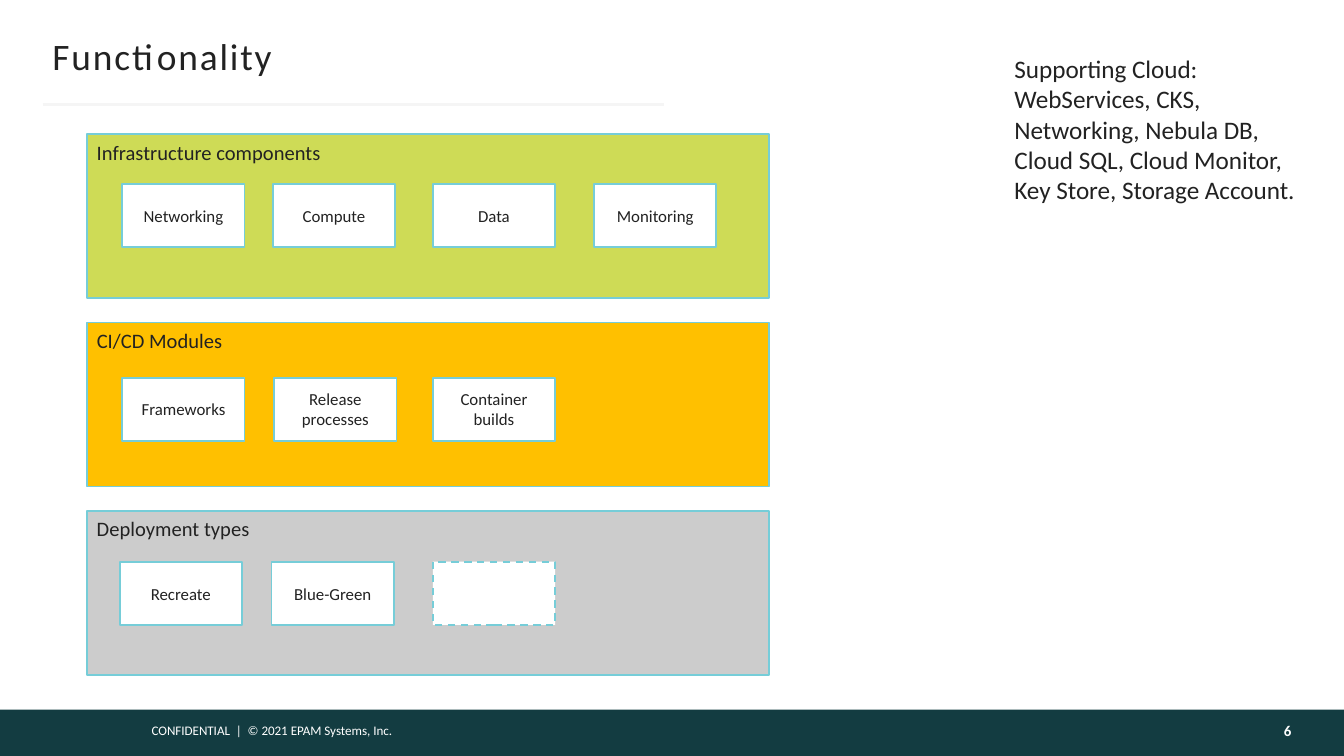
from lxml.etree import SubElement
from pptx import Presentation
from pptx.dml.color import RGBColor
from pptx.enum.dml import MSO_LINE_DASH_STYLE as Dash
from pptx.enum.shapes import MSO_CONNECTOR as Connector, MSO_SHAPE as Shape
from pptx.enum.text import MSO_ANCHOR as Anchor, MSO_AUTO_SIZE as AutoSize, PP_ALIGN as Align
from pptx.oxml.ns import qn
from pptx.util import Inches, Pt

FONT = "Calibri"
INK, WHITE, TEAL, AQUA = "222222", "FFFFFF", "133C41", "76CDD8"
PANEL_LEFT, PANEL_WIDTH, PANEL_HEIGHT = 0.65, 5.07, 1.22
MODULE_WIDTH, MODULE_HEIGHT = 0.91, 0.47

# heading, fill, panel top, module top, modules as (left, label)
PANELS = [
    ("Infrastructure components", "CEDB56", 1.0, 1.37,
     [(0.91, "Networking"), (2.03, "Compute"), (3.22, "Data"), (4.42, "Monitoring")]),
    ("CI/CD Modules", "FFC000", 2.4, 2.81,
     [(0.91, "Frameworks"), (2.04, "Release processes"), (3.22, "Container builds")]),
    ("Deployment types", "CCCCCC", 3.8, 4.18,
     [(0.89, "Recreate"), (2.02, "Blue-Green"), (3.22, "")]),
]


def color(value):
    return RGBColor.from_string(value)


def write(box, text, size=9, ink=INK, bold=False, align=Align.LEFT, anchor=Anchor.TOP,
          insets=(0.1, 0.05, 0.1, 0.05), line_spacing=None, space_after=0, tracking=0):
    """Fill a box with one formatted paragraph."""
    frame = box.text_frame
    frame.word_wrap = True
    frame.auto_size = AutoSize.NONE
    frame.vertical_anchor = anchor
    (frame.margin_left, frame.margin_top,
     frame.margin_right, frame.margin_bottom) = map(Inches, insets)
    para = frame.paragraphs[0]
    para.alignment = align
    para.line_spacing = line_spacing
    para.space_before, para.space_after = Pt(0), Pt(space_after)
    span = para.add_run()
    span.text = text
    span.font.name, span.font.size, span.font.bold = FONT, Pt(size), bold
    span.font.color.rgb = color(ink)
    if tracking:
        span.font._element.set("spc", str(tracking * 100))


def place(box, left, top, width, height):
    box.left, box.top, box.width, box.height = map(Inches, (left, top, width, height))


def paint(box, fill, outline=None):
    box.fill.solid()
    box.fill.fore_color.rgb = color(fill)
    if outline:
        box.line.color.rgb = color(outline)
        box.line.width = Pt(1)
    else:
        box.line.fill.background()


def add_rectangle(page, left, top, width, height, fill, outline=None):
    box = page.shapes.add_shape(Shape.RECTANGLE, *map(Inches, (left, top, width, height)))
    box.shadow.inherit = False
    paint(box, fill, outline)
    return box


def add_text(page, left, top, width, height, text, **text_format):
    box = page.shapes.add_textbox(*map(Inches, (left, top, width, height)))
    write(box, text, **text_format)


def add_rule(page, left, right, top):
    rule = page.shapes.add_connector(
        Connector.STRAIGHT, *map(Inches, (left, top, right, top)))
    rule.line.color.rgb = color("F5F5F5")
    rule.line.width = Pt(1.5)
    SubElement(rule._element.spPr, qn("a:effectLst"))


def remove_bullet(box):
    properties = box.text_frame.paragraphs[0]._p.get_or_add_pPr()
    properties.set("marL", "0")
    properties.set("indent", "0")
    SubElement(properties, qn("a:buNone"))


def add_panel(page, heading, fill, top, body=None):
    area = (PANEL_LEFT, top, PANEL_WIDTH, PANEL_HEIGHT)
    if body is None:
        panel = add_rectangle(page, *area, fill, AQUA)
    else:
        panel = body
        place(panel, *area)
        paint(panel, fill, AQUA)
        remove_bullet(panel)
    write(panel, heading, size=11, insets=(0.07, 0, 0, 0),
          line_spacing=Pt(16), space_after=3)


def add_module(page, left, top, label):
    module = add_rectangle(page, left, top, MODULE_WIDTH, MODULE_HEIGHT, WHITE, AQUA)
    if label:
        write(module, label, align=Align.CENTER, anchor=Anchor.MIDDLE)
    else:
        module.line.dash_style = Dash.DASH


def main():
    deck = Presentation()
    deck.slide_width = Inches(10)
    deck.slide_height = deck.slide_width * 9 // 16
    page = deck.slides.add_slide(deck.slide_layouts[1])
    title, body = page.placeholders

    # Footer
    add_rectangle(page, 0, 5.28, 10, 0.35, TEAL)
    add_text(page, 1.03, 5.33, 2.65, 0.22, "CONFIDENTIAL  |  © 2021 EPAM Systems, Inc.",
             size=7, ink=WHITE)
    add_text(page, 8.11, 5.28, 1.5, 0.35, "6", size=8, ink="FEFEFE", bold=True,
             align=Align.RIGHT, anchor=Anchor.MIDDLE, insets=(0.1, 0.05, 0, 0.09))

    # Title and rule
    place(title, 0.39, 0.25, 9.22, 0.33)
    write(title, "Functionality", size=20, anchor=Anchor.MIDDLE,
          insets=(0, 0.05, 0, 0.05), tracking=1)
    add_rule(page, 0.32, 4.94, 0.78)

    # Panels with their modules
    for heading, fill, top, module_top, modules in PANELS:
        add_panel(page, heading, fill, top, body if heading == "CI/CD Modules" else None)
        for left, label in modules:
            add_module(page, left, module_top, label)

    # Supported services
    add_text(page, 7.45, 0.35, 2.46, 1.24,
             "Supporting Cloud: WebServices, CKS, Networking, Nebula DB, "
             "Cloud SQL, Cloud Monitor, Key Store, Storage Account.", size=13.5)

    deck.save("out.pptx")


if __name__ == "__main__":
    main()
